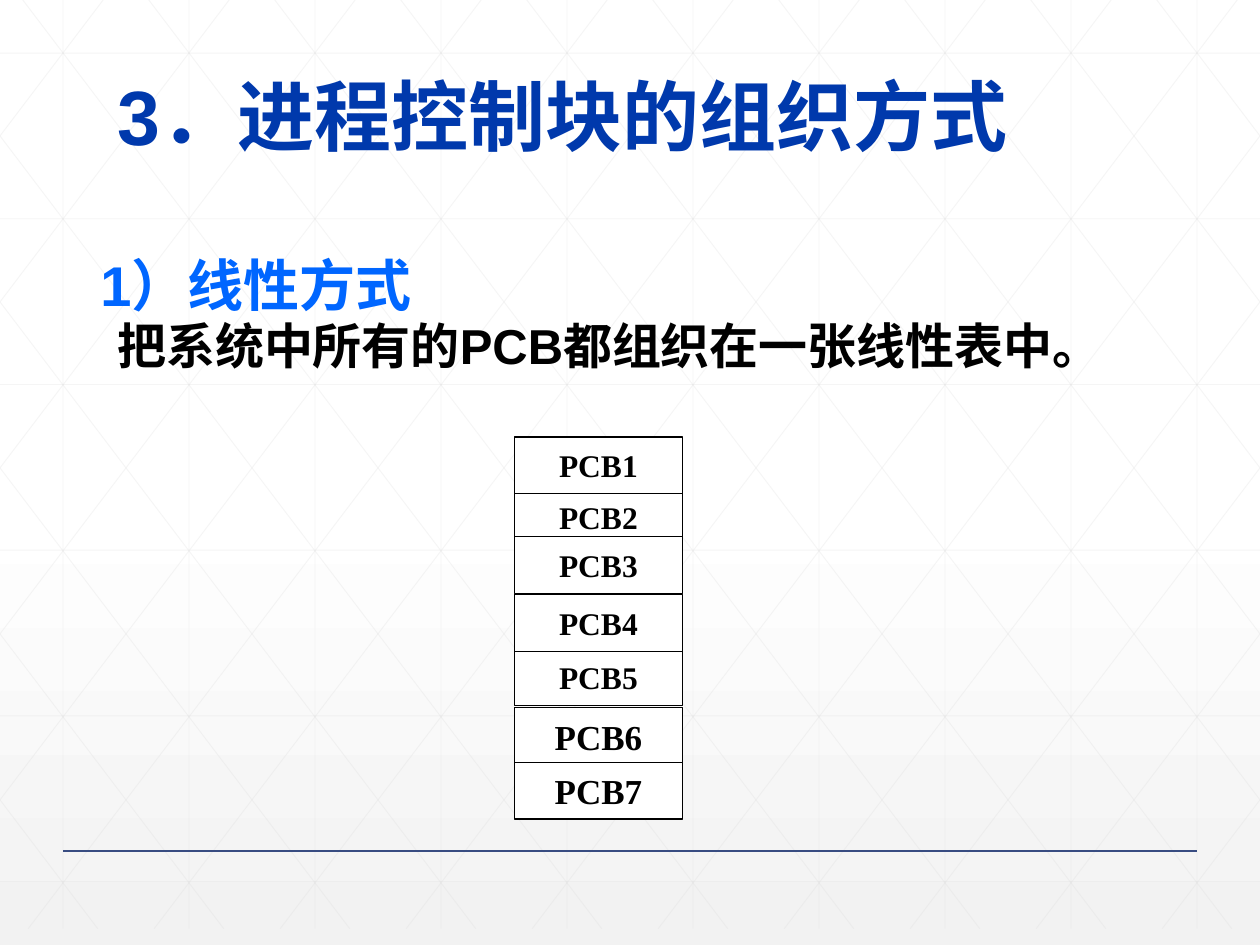
from lxml import etree
from pptx import Presentation
from pptx.dml.color import RGBColor
from pptx.enum.shapes import MSO_CONNECTOR, MSO_SHAPE
from pptx.enum.text import MSO_ANCHOR, MSO_AUTO_SIZE, PP_ALIGN
from pptx.oxml.ns import qn
from pptx.util import Cm, Pt

STRAIGHT = MSO_CONNECTOR.STRAIGHT
RECTANGLE = MSO_SHAPE.RECTANGLE
TOP, MIDDLE = MSO_ANCHOR.TOP, MSO_ANCHOR.MIDDLE
LEFT, CENTER, JUSTIFY = PP_ALIGN.LEFT, PP_ALIGN.CENTER, PP_ALIGN.JUSTIFY

COLORS = {
    "white": "FFFFFF", "shade": "F2F2F2", "grid": "D9D9D9", "rule": "384C81",
    "title": "0039AC", "heading": "0066FF", "black": "000000",
}
WIDTH, HEIGHT = 25.4, 19.05


def add_line(x1, y1, x2, y2, color, weight, opacity=100):
    """Draw a shadowless line; positions in cm, opacity in percent."""
    line = slide.shapes.add_connector(STRAIGHT, Cm(x1), Cm(y1), Cm(x2), Cm(y2))
    line.line.color.rgb = RGBColor.from_string(COLORS[color])
    line.line.width = Pt(weight)
    properties = line._element.spPr
    if opacity < 100:
        rgb = properties.find(".//" + qn("a:srgbClr"))
        etree.SubElement(rgb, qn("a:alpha")).set("val", str(opacity * 1000))
    etree.SubElement(properties, qn("a:effectLst"))


def style(paragraph, size, color, align, font="Arial"):
    paragraph.alignment = align
    for run in paragraph.runs:
        run.font.name = font
        run.font.size = Pt(size)
        run.font.bold = True
        run.font.color.rgb = RGBColor.from_string(COLORS[color])


prs = Presentation()
prs.slide_width, prs.slide_height = Cm(WIDTH), Cm(HEIGHT)
slide = prs.slides.add_slide(prs.slide_layouts[1])

# Background gradient
background = slide.background.fill
background.gradient()
background.gradient_angle = 270
for stop, position, color in zip(background.gradient_stops, (0.53, 1), ("white", "shade")):
    stop.position = position
    stop.color.rgb = RGBColor.from_string(COLORS[color])

# Faint grid: columns, rows, and diagonals clipped at the slide sides
STEP, ROW_STEP = 2.54, 3.34
GRID_BOTTOM, DIAGONAL_RUN = 18.72, 14.21
for column in range(10):
    x = 1.27 + column * STEP
    add_line(x, 0, x, GRID_BOTTOM, "grid", 0.5, 25)
for row in range(6):
    y = 1.07 + row * ROW_STEP
    add_line(0, y, WIDTH, y, "grid", 0.5, 25)
slope = GRID_BOTTOM / DIAGONAL_RUN
for diagonal in range(-5, 10):
    top_x = 0.46 + diagonal * STEP
    x1, x2 = max(top_x, 0), min(top_x + DIAGONAL_RUN, WIDTH)
    y1, y2 = (x1 - top_x) * slope, (x2 - top_x) * slope
    add_line(x1, y1, x2, y2, "grid", 0.5, 25)
    add_line(WIDTH - x1, y1, WIDTH - x2, y2, "grid", 0.5, 25)
add_line(1.27, 17.15, 24.13, 17.15, "rule", 1)

# Title and body, brought in front of the grid
title, body = slide.shapes.title, slide.placeholders[1]
for placeholder, (left, top, width, height) in (
    (title, (2.11, 1.47, 19.1, 2.13)),
    (body, (1.47, 5.08, 22.43, 12.5)),
):
    placeholder.left, placeholder.top = Cm(left), Cm(top)
    placeholder.width, placeholder.height = Cm(width), Cm(height)
    placeholder.text_frame.vertical_anchor = TOP
    placeholder.text_frame.auto_size = MSO_AUTO_SIZE.NONE
    slide.shapes._spTree.append(placeholder._element)

title.text_frame.text = "3．进程控制块的组织方式"
title.text_frame.word_wrap = False
heading = title.text_frame.paragraphs[0]
heading.line_spacing = 0.9
style(heading, 44, "title", LEFT)

body.text_frame.text = "1）线性方式\n把系统中所有的PCB都组织在一张线性表中。"
for paragraph, size, color, indent, before in zip(
    body.text_frame.paragraphs, (32, 28), ("heading", "black"), (0.3, 0.64), (0, 2)
):
    properties = paragraph._p.get_or_add_pPr()
    properties.set("marL", str(Cm(indent)))
    properties.set("indent", "0")
    etree.SubElement(properties, qn("a:buNone"))
    paragraph.line_spacing = 0.9
    paragraph.space_before = Pt(before)
    style(paragraph, size, color, JUSTIFY)

# Linear table of PCBs, from back to front since neighbours overlap slightly
for number, top, size in (
    (5, 13.08, 18), (6, 14.27, 20), (7, 15.37, 20),
    (2, 9.86, 18), (3, 10.82, 18), (4, 11.99, 18), (1, 8.81, 18),
):
    pcb = slide.shapes.add_shape(RECTANGLE, Cm(10.37), Cm(top), Cm(3.39), Cm(1.14))
    pcb.shadow.inherit = False
    pcb.fill.solid()
    pcb.fill.fore_color.rgb = RGBColor.from_string(COLORS["white"])
    pcb.line.color.rgb = RGBColor.from_string(COLORS["black"])
    pcb.line.width = Pt(0.75)
    pcb.text_frame.text = f"PCB{number}"
    pcb.text_frame.vertical_anchor = MIDDLE
    style(pcb.text_frame.paragraphs[0], size, "black", CENTER, "Times New Roman")

prs.save("out.pptx")
